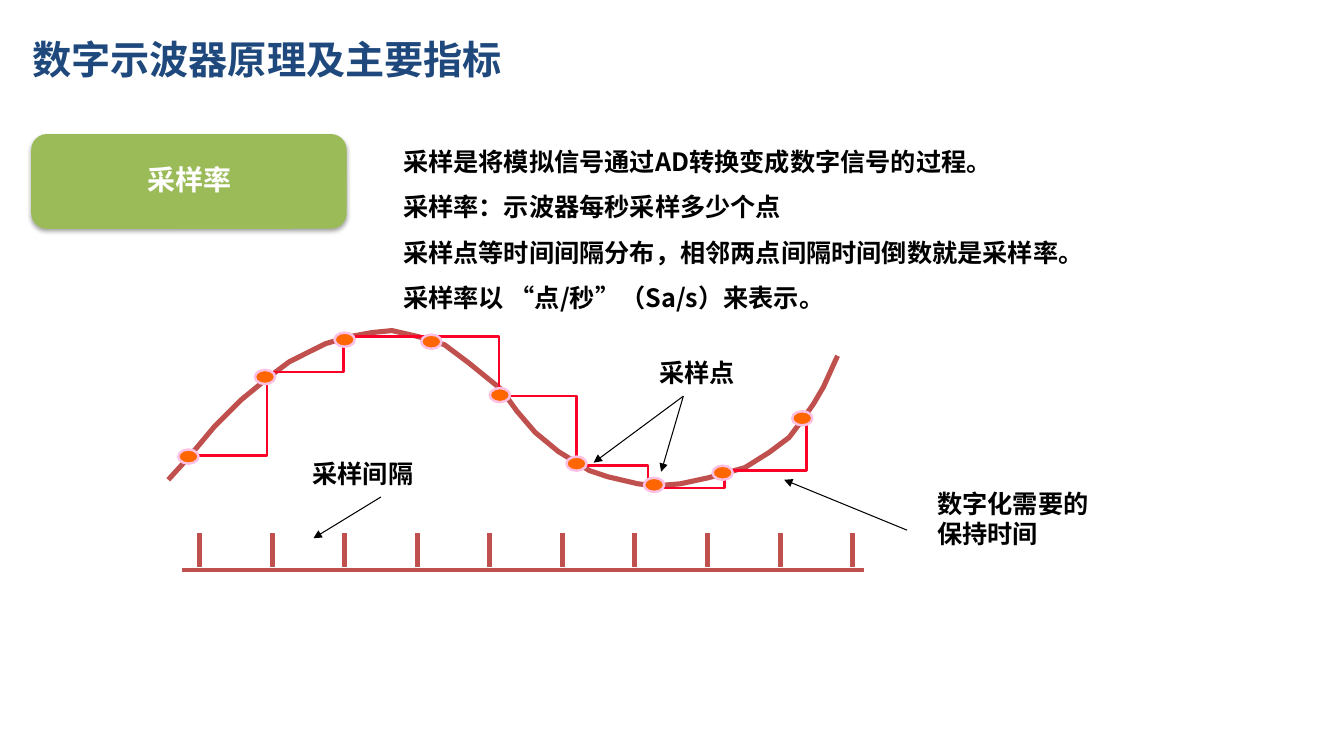
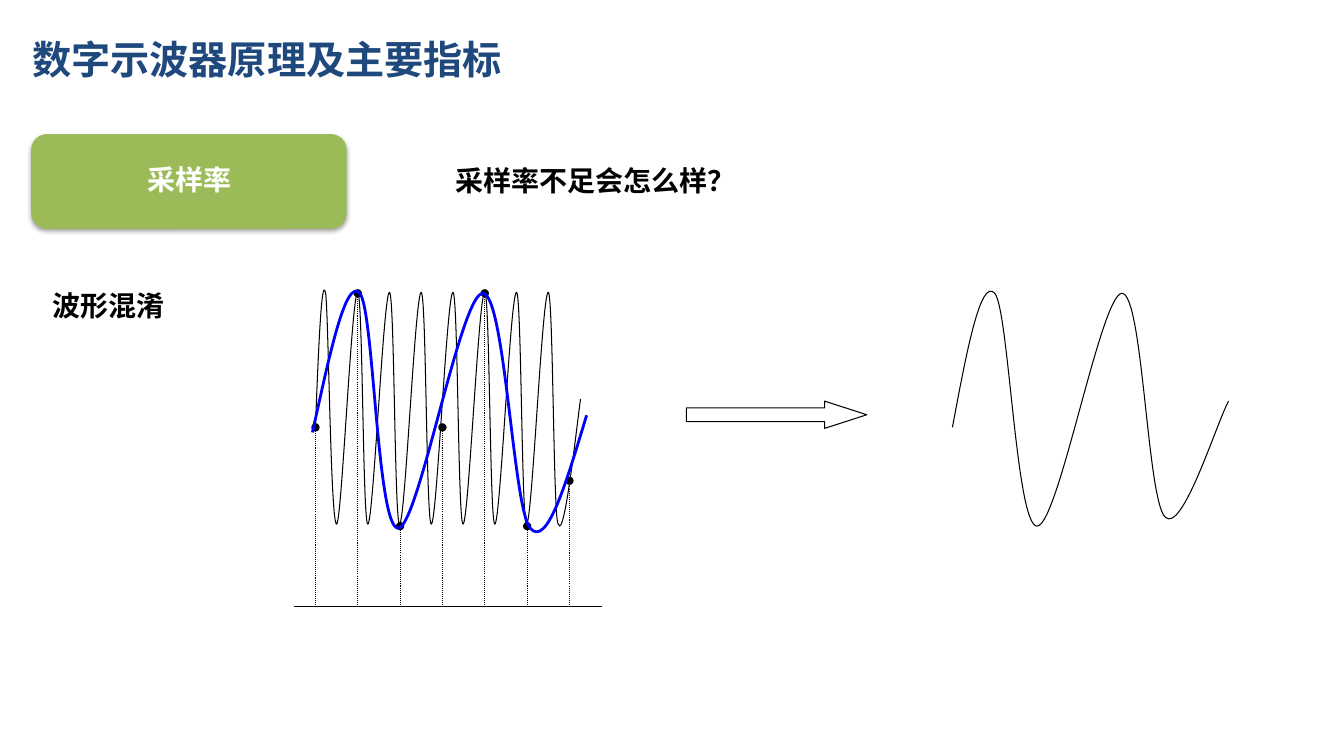
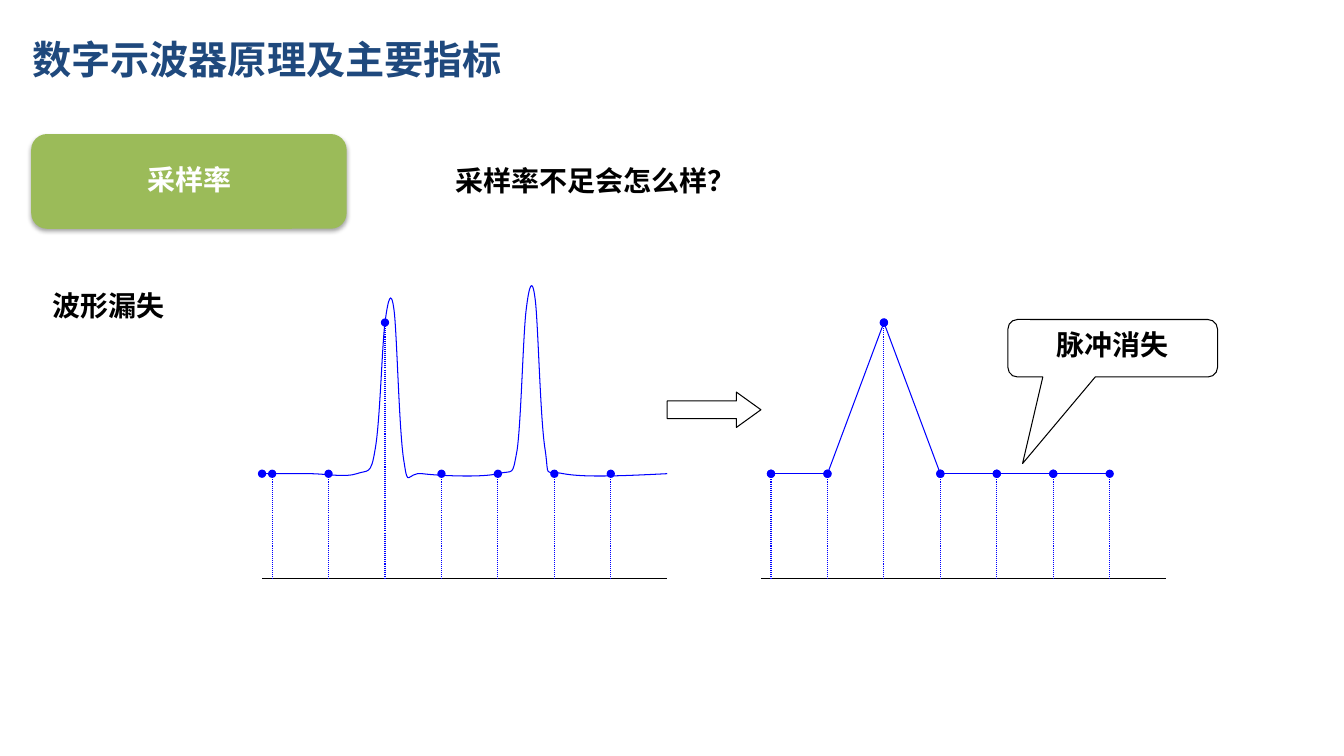
from dataclasses import dataclass
from itertools import pairwise
from typing import NamedTuple

from lxml.etree import SubElement
from pptx import Presentation
from pptx.dml.color import RGBColor
from pptx.enum.dml import MSO_LINE
from pptx.enum.shapes import MSO_CONNECTOR as Connector, MSO_SHAPE as Preset
from pptx.enum.text import MSO_ANCHOR as Anchor, MSO_AUTO_SIZE as AutoSize, PP_ALIGN as Align
from pptx.oxml.ns import qn
from pptx.slide import Slide
from pptx.util import Cm, Length, Pt

FONT = "Noto Sans CJK SC"
NAVY, GREEN, BRICK, BLACK, WHITE = "1F497D", "9BBB59", "C0504D", "000000", "FFFFFF"
RED, ORANGE, PINK, BLUE = "FC0128", "FF6600", "FDC0E5", "0000FF"
GRID = 2.54  # centimetres in one layout unit

TITLE = "数字示波器原理及主要指标"
TOPIC = "采样率"
QUESTION = "采样率不足会怎么样？"


class Point(NamedTuple):
    x: float
    y: float


class Box(NamedTuple):
    left: float
    top: float
    width: float
    height: float


@dataclass
class Stroke:
    color: str = BLACK
    width: float = 0.75
    dotted: bool = False
    head: str = ""
    tail: str = ""


@dataclass
class Label:
    lines: list[str]
    box: Box
    size: int = 18
    inset: float = 0


THIN = Stroke()
ARROW = Stroke(tail="triangle")


def grid(value: float) -> Length:
    return Cm(value * GRID)


def place(box: Box) -> list[Length]:
    return [grid(value) for value in box]


def rgb(color: str) -> RGBColor:
    return RGBColor.from_string(color)


# Text

def write(frame, lines: list[str], size: int, color: str = BLACK,
          align: Align = Align.LEFT, spacing: float = 1.0) -> None:
    frame.text = "\n".join(lines)
    for paragraph in frame.paragraphs:
        properties = paragraph._p.get_or_add_pPr()
        properties.set("marL", "0")
        properties.set("indent", "0")
        paragraph.alignment, paragraph.line_spacing = align, spacing
        paragraph.space_before = Pt(0)
        SubElement(properties, qn("a:buNone"))
        font = paragraph.font
        font.name, font.size, font.bold = FONT, Pt(size), True
        font.color.rgb = rgb(color)
        SubElement(properties.find(qn("a:defRPr")), qn("a:ea"), typeface=FONT)


def set_inset(frame, inset: float) -> None:
    frame.margin_left = frame.margin_right = grid(inset)
    frame.margin_top = frame.margin_bottom = grid(inset)


def fill_placeholder(holder, box: Box, anchor: Anchor, lines: list[str], size: int,
                     color: str = BLACK, spacing: float = 1.0) -> None:
    holder.left, holder.top, holder.width, holder.height = place(box)
    frame = holder.text_frame
    frame.auto_size, frame.vertical_anchor = AutoSize.NONE, anchor
    write(frame, lines, size, color, spacing=spacing)


def add_label(slide: Slide, label: Label) -> None:
    frame = slide.shapes.add_textbox(*place(label.box)).text_frame
    frame.word_wrap = False
    if not label.inset:
        set_inset(frame, 0)
    write(frame, label.lines, label.size)


# Shapes and lines

def apply_stroke(line, stroke: Stroke) -> None:
    line.color.rgb = rgb(stroke.color)
    line.width = Pt(stroke.width)
    if stroke.dotted:
        line.dash_style = MSO_LINE.ROUND_DOT
    for tag, end in (("a:headEnd", stroke.head), ("a:tailEnd", stroke.tail)):
        if end:
            SubElement(line._get_or_add_ln(), qn(tag), type=end)


def add_preset(slide: Slide, preset: Preset, box: Box, fill: str,
               stroke: Stroke | None = None, adjustments: tuple[float, ...] = ()):
    shape = slide.shapes.add_shape(preset, *place(box))
    shape.shadow.inherit = False
    shape.fill.solid()
    shape.fill.fore_color.rgb = rgb(fill)
    if stroke:
        apply_stroke(shape.line, stroke)
    else:
        shape.line.fill.background()
    for index, value in enumerate(adjustments):
        shape.adjustments[index] = value
    return shape


def add_line(slide: Slide, start: Point, end: Point, stroke: Stroke = THIN) -> None:
    line = slide.shapes.add_connector(
        Connector.STRAIGHT, grid(start.x), grid(start.y), grid(end.x), grid(end.y))
    apply_stroke(line.line, stroke)
    SubElement(line._element.spPr, qn("a:effectLst"))


def add_trace(slide: Slide, points: list[tuple[float, float]], stroke: Stroke,
              curved: bool = False) -> None:
    """Draw an open outline; a curved one takes three points per Bezier segment."""
    (x, y), *others = [(grid(px), grid(py)) for px, py in points]
    builder = slide.shapes.build_freeform(x, y)
    builder.add_line_segments(others, close=False)
    trace = builder.convert_to_shape()
    trace.shadow.inherit = False
    trace.fill.background()
    apply_stroke(trace.line, stroke)
    if curved:
        outline = trace._element.spPr.find(".//" + qn("a:path"))
        steps = outline.findall(qn("a:lnTo"))
        for first in range(0, len(steps), 3):
            bezier = SubElement(outline, qn("a:cubicBezTo"))
            for step in steps[first:first + 3]:
                bezier.append(step[0])
                outline.remove(step)


def add_samples(slide: Slide, samples: list[Point], base: float, color: str) -> None:
    for sample in samples:
        add_line(slide, sample, Point(sample.x, base),
                 Stroke(color, dotted=True, head="oval"))


# Frame shared by the slides

def start_slide(deck, body_lines: list[str], body_box: Box, body_size: int) -> Slide:
    slide = deck.slides.add_slide(deck.slide_layouts[1])
    title, body = slide.placeholders
    fill_placeholder(title, Box(0.22, 0.25, 11.67, 0.67), Anchor.MIDDLE, [TITLE], 28, NAVY)
    fill_placeholder(body, body_box, Anchor.TOP, body_lines, body_size, spacing=1.5)

    badge = add_preset(slide, Preset.ROUNDED_RECTANGLE, Box(0.31, 1.33, 3.13, 0.94), GREEN)
    effects = badge._element.spPr.find(qn("a:effectLst"))
    shadow = SubElement(effects, qn("a:outerShdw"), blurRad="40000", dist="23000",
                        dir="5400000", rotWithShape="0")
    shade = SubElement(shadow, qn("a:srgbClr"), val=BLACK)
    SubElement(shade, qn("a:alpha"), val="35000")

    topic = add_preset(slide, Preset.RECTANGLE, Box(0.47, 1.37, 2.82, 0.85), GREEN).text_frame
    set_inset(topic, 0.08)
    topic.vertical_anchor = Anchor.MIDDLE
    write(topic, [TOPIC], 20, WHITE, Align.CENTER, 0.9)
    return slide


def start_problem(deck, problem: str) -> Slide:
    slide = start_slide(deck, [QUESTION], Box(4.42, 1.41, 6.1, 0.61), 20)
    add_label(slide, Label([problem], Box(0.42, 2.81, 1.32, 0.44), 20, 0.1))
    return slide


# Slides

def build_sampling(deck) -> None:
    slide = start_slide(deck, [
        "采样是将模拟信号通过AD转换变成数字信号的过程。",
        "采样率：示波器每秒采样多少个点",
        "采样点等时间间隔分布，相邻两点间隔时间倒数就是采样率。",
        "采样率以 “点/秒”（Sa/s）来表示。",
    ], Box(3.9, 1.25, 9.02, 1.92), 18)

    # Analogue signal
    signal = [
        (1.67, 4.76), (1.87, 4.54), (2.13, 4.23), (2.39, 3.97), (2.67, 3.74), (2.87, 3.59),
        (3.05, 3.5), (3.23, 3.41), (3.47, 3.34), (3.69, 3.3), (3.89, 3.28), (4.15, 3.34),
        (4.41, 3.42), (4.65, 3.6), (4.97, 3.86), (5.13, 4.08), (5.31, 4.29), (5.54, 4.48),
        (5.85, 4.67), (6.03, 4.73), (6.33, 4.8), (6.51, 4.82), (6.75, 4.8), (7.03, 4.74),
        (7.39, 4.64), (7.63, 4.49), (7.83, 4.34), (7.95, 4.18), (8.07, 4.01), (8.17, 3.84),
        (8.31, 3.53),
    ]
    add_trace(slide, signal, Stroke(BRICK, 3.63))

    # Time axis with equal sampling intervals
    add_preset(slide, Preset.RECTANGLE, Box(1.81, 5.64, 6.76, 0.03), BRICK, Stroke(BRICK))
    for tick in range(10):
        add_preset(slide, Preset.RECTANGLE, Box(1.96 + 0.72 * tick, 5.29, 0.04, 0.33),
                   BRICK, Stroke(BRICK))

    # Each level is held until the next sample
    levels = [Point(1.91, 4.52), Point(2.65, 3.69), Point(3.41, 3.34), Point(4.95, 3.93),
              Point(5.72, 4.62), Point(6.43, 4.84), Point(7.19, 4.67), Point(8, 4.11)]
    held = [levels[0]]
    for level, following in pairwise(levels):
        held += [Point(following.x, level.y), following]
    add_trace(slide, held, Stroke(RED, 1.75))

    # Sample points
    for left, top in [(1.77, 4.46), (2.53, 3.67), (3.32, 3.3), (4.18, 3.32), (4.86, 3.85),
                      (5.62, 4.53), (6.39, 4.74), (7.07, 4.62), (7.86, 4.08)]:
        add_preset(slide, Preset.OVAL, Box(left, top, 0.2, 0.14), ORANGE, Stroke(PINK, 1.75))

    # Labels and their arrows
    for label in [
        Label(["采样点"], Box(6.54, 3.54, 0.76, 0.3)),
        Label(["数字化需要的", "保持时间"], Box(9.3, 4.84, 1.51, 0.61)),
        Label(["采样间隔"], Box(3.1, 4.55, 1.01, 0.3)),
    ]:
        add_label(slide, label)
    for start, end in [
        (Point(6.78, 3.93), Point(5.89, 4.59)), (Point(6.78, 3.93), Point(6.56, 4.68)),
        (Point(3.78, 4.93), Point(3.11, 5.34)), (Point(9, 5.26), Point(7.78, 4.76)),
    ]:
        add_line(slide, start, end, ARROW)


def build_aliasing(deck) -> None:
    slide = start_problem(deck, "波形混淆")
    base, high, low = 6.02, 2.9, 5.2

    # Fast signal
    fast = [(3.13, 4.23), (3.16, 3.48), (3.19, 2.73), (3.23, high),
            (3.26, 3.06), (3.28, low), (3.34, low)]
    for cycle in range(7):
        peak = 3.55 + 0.315 * cycle
        fast += [(peak - 0.16, low), (peak - 0.06, high), (peak, high),
                 (peak + 0.05, high), (peak + 0.05, low), (peak + 0.1, low)]
    fast += [(5.6, 5.38), (5.73, 4.17), (5.76, 3.96)]
    add_trace(slide, fast, THIN, curved=True)

    # Samples taken too slowly
    add_line(slide, Point(2.92, base), Point(5.97, base))
    heights = [4.24, 2.91, 5.22, 4.24, 2.91, 5.22, 4.77]
    add_samples(slide, [Point(3.13 + 0.42 * i, y) for i, y in enumerate(heights)], base, BLACK)

    # Resulting slow wave, alone and over the signal
    add_preset(slide, Preset.RIGHT_ARROW, Box(6.81, 3.98, 1.79, 0.27), WHITE, THIN, (0.5, 1.548))
    add_trace(slide, [
        (9.45, 4.24), (9.59, 3.49), (9.73, 2.75), (9.87, 2.91), (10.01, 3.07), (10.08, 5.22),
        (10.29, 5.22), (10.5, 5.22), (10.92, 2.93), (11.13, 2.91), (11.34, 2.9), (11.38, 4.95),
        (11.56, 5.13), (11.73, 5.31), (12.08, 4.17), (12.19, 3.98),
    ], THIN, curved=True)
    add_trace(slide, [
        (3.1, 4.29), (3.27, 3.52), (3.43, 2.75), (3.57, 2.91), (3.71, 3.07), (3.74, 5.24),
        (3.95, 5.24), (4.15, 5.24), (4.57, 2.91), (4.79, 2.91), (5.01, 2.91), (5.09, 5.04),
        (5.26, 5.24), (5.43, 5.44), (5.62, 4.78), (5.82, 4.12),
    ], Stroke(BLUE, 2), curved=True)


def build_missed_pulse(deck) -> None:
    slide = start_problem(deck, "波形漏失")
    base, rest = 5.74, 4.7
    heights = [rest, rest, 3.2, rest, rest, rest, rest]
    marked = Stroke(BLUE, head="oval")

    # Signal with two pulses
    add_trace(slide, [
        (2.6, rest), (2.76, rest), (2.91, rest), (3.07, rest), (3.23, rest), (3.43, 4.74),
        (3.54, rest), (3.65, 4.66), (3.68, 4.72), (3.72, 4.47), (3.77, 4.22), (3.79, 3.43),
        (3.82, 3.2), (3.85, 2.97), (3.88, 2.85), (3.91, 3.08), (3.94, 3.32), (3.96, 4.32),
        (4.01, 4.59), (4.05, 4.86), (4.04, 4.68), (4.19, rest), (4.35, 4.72), (4.78, 4.74),
        (4.94, rest), (5.1, 4.66), (5.08, 4.74), (5.13, 4.47), (5.17, 4.2), (5.19, 3.33),
        (5.22, 3.08), (5.25, 2.83), (5.28, 2.73), (5.31, 2.97), (5.34, 3.2), (5.36, 4.18),
        (5.41, 4.47), (5.45, 4.76), (5.39, 4.66), (5.59, rest), (5.8, 4.74), (6.21, 4.72),
        (6.62, rest),
    ], marked, curved=True)

    # The same sampling on both time axes
    for axis in (2.6, 7.55):
        add_line(slide, Point(axis, base), Point(axis + 4.02, base))
        samples = [Point(axis + 0.1 + 0.56 * i, y) for i, y in enumerate(heights)]
        add_samples(slide, samples, base, BLUE)

    # Reconstruction from the samples of the right axis
    for start, end in pairwise(samples):
        add_line(slide, start, end, marked)
    add_preset(slide, Preset.RIGHT_ARROW, Box(6.62, 3.89, 0.93, 0.35), WHITE, THIN, (0.5, 0.695))
    callout = add_preset(slide, Preset.ROUNDED_RECTANGULAR_CALLOUT, Box(10, 3.17, 2.08, 0.57),
                         WHITE, THIN, (-0.43, 2.007, 0.167)).text_frame
    callout.vertical_anchor = Anchor.TOP
    write(callout, ["脉冲消失"], 20, align=Align.CENTER)


def main() -> None:
    deck = Presentation()
    deck.slide_width, deck.slide_height = Cm(33.87), Cm(19.05)
    build_sampling(deck)
    build_aliasing(deck)
    build_missed_pulse(deck)
    deck.save("out.pptx")


if __name__ == "__main__":
    main()
